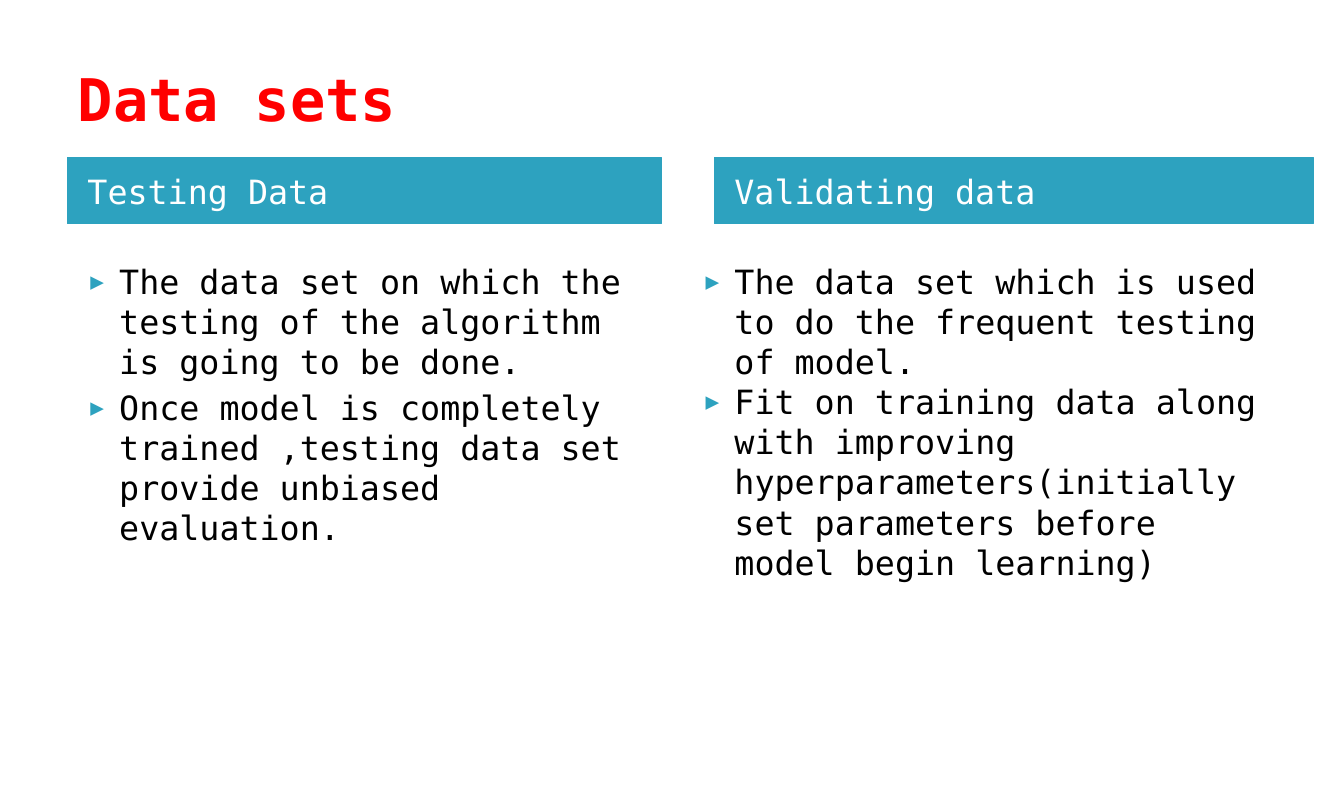
from lxml.etree import SubElement
from pptx import Presentation
from pptx.dml.color import RGBColor
from pptx.enum.shapes import MSO_SHAPE as Shape
from pptx.enum.text import MSO_ANCHOR as Anchor, PP_ALIGN as Align
from pptx.oxml.ns import qn
from pptx.util import Pt

# Content
TITLE = "Data sets"
DATA_SETS = [
    {
        "heading": "Testing Data",
        "header_box": (70, 164, 618, 69),
        "points_box": (70, 267, 618, 500),
        "space_before": 4.3,
        "points": [
            "The data set on which the testing of the algorithm is going to be done.",
            "Once model is completely trained ,testing data set provide unbiased evaluation.",
        ],
    },
    {
        "heading": "Validating data",
        "header_box": (743, 164, 623, 69),
        "points_box": (710, 267, 618, 382),
        "space_before": 0,
        "points": [
            "The data set which is used to do the frequent testing of model.",
            "Fit on training data along with improving hyperparameters"
            "(initially set parameters before model begin learning)",
        ],
    },
]

# Theme and layout, lengths in px at 100 px to the inch
THEME = {
    "font": "DejaVu Sans Mono",
    "title": {"size": 44, "color": "FF0000", "bold": True},
    "heading": {"size": 25, "color": "FFFFFF", "bold": False},
    "point": {"size": 25, "color": "000000", "bold": False},
    "accent": "2DA2BF",
}
SLIDE = (1398, 827)
TITLE_BOX = (70, 33, 1258, 138)
INSET_X, INSET_Y, HEADER_INSET = 11, 5, 21
TEXT_INDENT, BULLET_INDENT = 43, -30
BULLET, BULLET_PERCENT = "▶", 68
EMU_PER_PX = 9144


def px(length):
    return length * EMU_PER_PX


def emu(box):
    return [px(length) for length in box]


def write(shape, lines, style, anchor, left_inset=INSET_X, space_before=0):
    frame = shape.text_frame
    settings = {
        "word_wrap": True,
        "vertical_anchor": anchor,
        "margin_left": px(left_inset),
        "margin_right": px(INSET_X),
        "margin_top": px(INSET_Y),
        "margin_bottom": px(INSET_Y),
    }
    for name, value in settings.items():
        setattr(frame, name, value)
    frame.text = "\n".join(lines)
    for line in frame.paragraphs:
        line.alignment = Align.LEFT
        line.space_before = Pt(space_before)
        font = line.runs[0].font
        font.name = THEME["font"]
        font.size = Pt(style["size"])
        font.bold = style["bold"]
        font.color.rgb = RGBColor.from_string(style["color"])
    return frame.paragraphs


def add_bullet(line):
    props = line._p.get_or_add_pPr()
    props.set("marL", str(px(TEXT_INDENT)))
    props.set("indent", str(px(BULLET_INDENT)))
    color = SubElement(props, qn("a:buClr"))
    SubElement(color, qn("a:srgbClr"), val=THEME["accent"])
    SubElement(props, qn("a:buSzPct"), val=str(BULLET_PERCENT * 1000))
    SubElement(props, qn("a:buFont"), typeface=THEME["font"])
    SubElement(props, qn("a:buChar"), char=BULLET)


deck = Presentation()
deck.slide_width, deck.slide_height = emu(SLIDE)
slide = deck.slides.add_slide(deck.slide_layouts[6])

# Title
title = slide.shapes.add_textbox(*emu(TITLE_BOX))
write(title, [TITLE], THEME["title"], Anchor.MIDDLE)

# One header bar and bulleted list per data set
accent = RGBColor.from_string(THEME["accent"])
for data_set in DATA_SETS:
    header = slide.shapes.add_shape(Shape.RECTANGLE, *emu(data_set["header_box"]))
    header.shadow.inherit = False
    header.fill.solid()
    header.fill.fore_color.rgb = accent
    header.line.color.rgb = accent
    header.line.width = Pt(0.75)
    write(header, [data_set["heading"]], THEME["heading"], Anchor.MIDDLE,
          HEADER_INSET, space_before=4.3)

    points = slide.shapes.add_textbox(*emu(data_set["points_box"]))
    for point in write(points, data_set["points"], THEME["point"], Anchor.TOP,
                       space_before=data_set["space_before"]):
        add_bullet(point)

deck.save("out.pptx")
